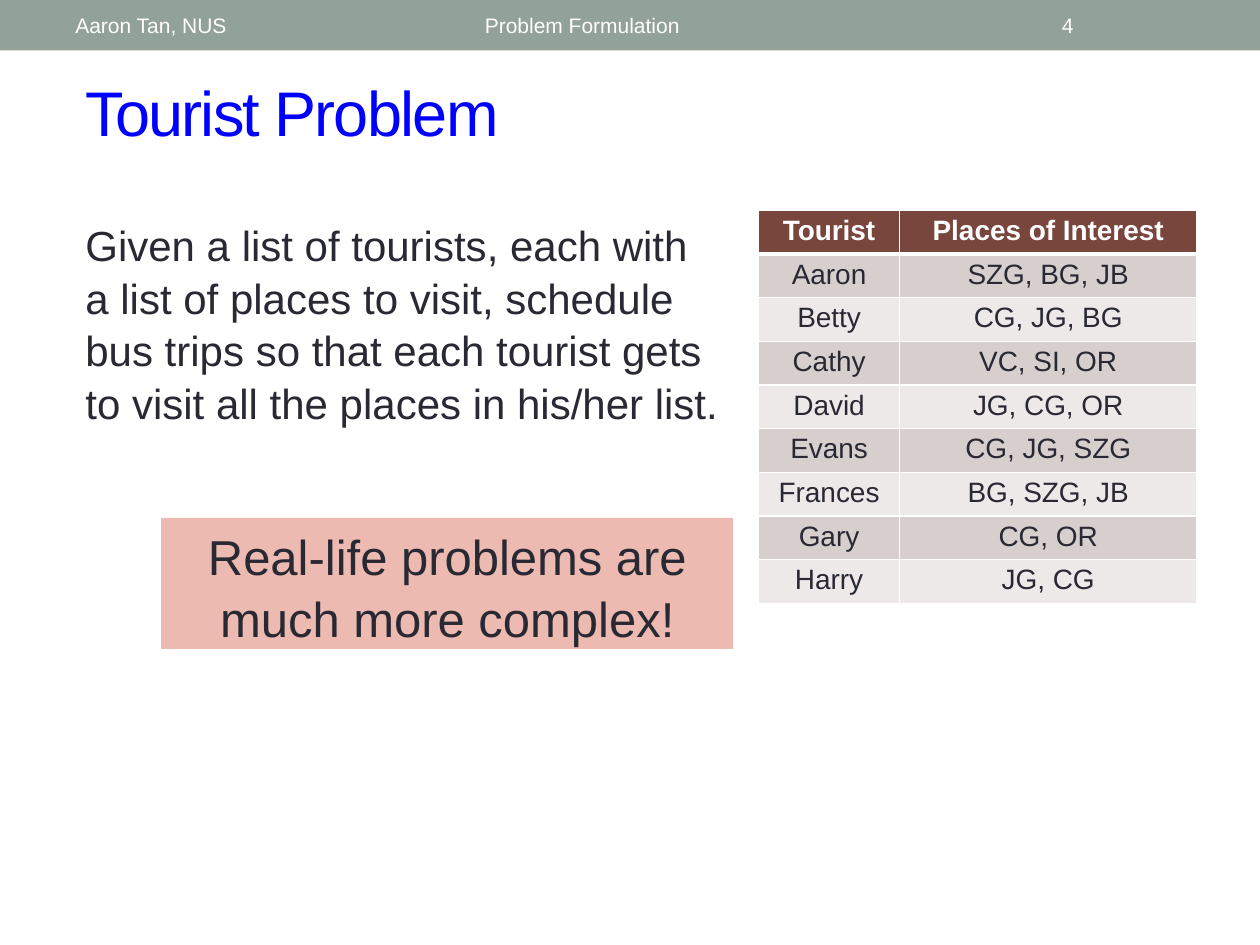
from lxml.etree import SubElement
from pptx import Presentation
from pptx.dml.color import RGBColor
from pptx.enum.shapes import MSO_SHAPE as Shape
from pptx.enum.text import MSO_ANCHOR as Anchor, PP_ALIGN as Align
from pptx.oxml.ns import qn
from pptx.util import Inches, Pt

FONT = "Arial"
WHITE = RGBColor(0xFF, 0xFF, 0xFF)
SAGE = RGBColor(0x93, 0xA2, 0x99)
BLUE = RGBColor(0x00, 0x00, 0xFF)
INK = RGBColor(0x29, 0x29, 0x34)
PINK = RGBColor(0xED, 0xBA, 0xB1)
BROWN = RGBColor(0x79, 0x46, 0x3D)
BANDS = RGBColor(0xEC, 0xE9, 0xE8), RGBColor(0xD7, 0xCF, 0xCE)

ROWS = [
    ("Tourist", "Places of Interest"),
    ("Aaron", "SZG, BG, JB"),
    ("Betty", "CG, JG, BG"),
    ("Cathy", "VC, SI, OR"),
    ("David", "JG, CG, OR"),
    ("Evans", "CG, JG, SZG"),
    ("Frances", "BG, SZG, JB"),
    ("Gary", "CG, OR"),
    ("Harry", "JG, CG"),
]


def write(frame, text, size, color, align=Align.LEFT, bold=False, spacing=None):
    """Fill a text frame with one formatted paragraph and return its run."""
    frame.text = text
    frame.word_wrap = True
    para = frame.paragraphs[0]
    para.alignment = align
    para.line_spacing = spacing
    span = para.runs[0]
    span.font.name = FONT
    span.font.size = Pt(size)
    span.font.bold = bold
    span.font.color.rgb = color
    return span


def add_text(page, area, text, size, color, anchor=Anchor.TOP, spacing=None):
    box = page.shapes.add_textbox(*map(Inches, area))
    box.text_frame.vertical_anchor = anchor
    return write(box.text_frame, text, size, color, spacing=spacing)


def add_block(page, area, color):
    block = page.shapes.add_shape(Shape.RECTANGLE, *map(Inches, area))
    block.shadow.inherit = False
    block.fill.solid()
    block.fill.fore_color.rgb = color
    block.line.fill.background()
    return block


def set_borders(cell, bottom_width):
    """Draw white cell borders; they must precede the fill in the XML."""
    props = cell._tc.get_or_add_tcPr()
    for tag, width in (("lnL", 1), ("lnR", 1), ("lnT", 1), ("lnB", bottom_width)):
        line = SubElement(props, qn(f"a:{tag}"), w=str(Pt(width)))
        fill = SubElement(line, qn("a:solidFill"))
        SubElement(fill, qn("a:srgbClr"), val=str(WHITE))


def add_tourist_table(page):
    area = map(Inches, (6.02, 1.67, 3.48, 3.12))
    table = page.shapes.add_table(len(ROWS), 2, *area).table
    for column, width in zip(table.columns, (1.12, 2.36)):
        column.width = Inches(width)
    for r, values in enumerate(ROWS):
        header = r == 0
        for c, value in enumerate(values):
            cell = table.cell(r, c)
            cell.margin_left = cell.margin_right = Inches(0.08)
            cell.margin_top = cell.margin_bottom = Inches(0.04)
            set_borders(cell, 3 if header else 1)
            cell.fill.solid()
            cell.fill.fore_color.rgb = BROWN if header else BANDS[r % 2]
            write(cell.text_frame, value, 16, WHITE if header else INK,
                  Align.CENTER, header)


def main():
    deck = Presentation()
    deck.slide_width, deck.slide_height = Inches(10), Inches(7.5)
    page = deck.slides.add_slide(deck.slide_layouts[6])

    # Header band
    add_block(page, (0, 0, 10, 0.4), SAGE)
    for left, width, text in ((0.5, 3.17, "Aaron Tan, NUS"),
                              (3.75, 4.5, "Problem Formulation"),
                              (8.33, 1.17, "4")):
        add_text(page, (left, 0.02, width, 0.36), text, 12, WHITE, Anchor.MIDDLE)

    # Title, slightly condensed
    title = add_text(page, (0.58, 0.42, 9.17, 0.92), "Tourist Problem", 36, BLUE,
                     Anchor.MIDDLE)
    title.font._element.set("spc", "-100")

    # Problem statement and data
    add_text(page, (0.58, 1.67, 5.24, 1.72),
             "Given a list of tourists, each with a list of places to visit, "
             "schedule bus trips so that each tourist gets to visit all the "
             "places in his/her list.", 24, INK, spacing=1.05)
    add_tourist_table(page)

    # Closing remark
    remark = add_block(page, (1.28, 4.11, 4.54, 1.04), PINK)
    remark.text_frame.vertical_anchor = Anchor.TOP
    write(remark.text_frame, "Real-life problems are much more complex!", 28, INK,
          Align.CENTER, spacing=1.05)

    deck.save("out.pptx")


if __name__ == "__main__":
    main()
